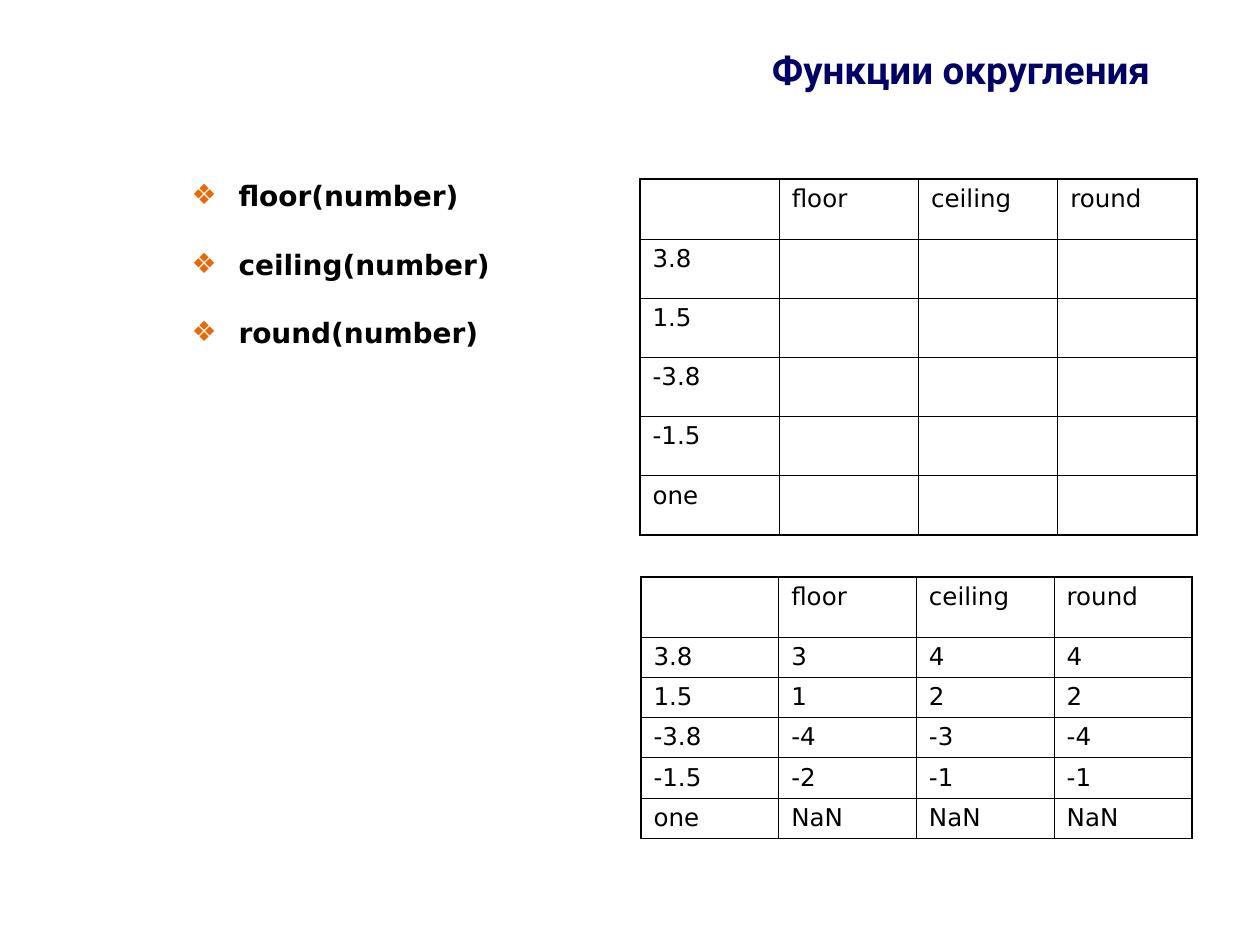
import pptx
import pptx.util
import pptx.dml.color
import pptx.enum.text
import pptx.oxml
import pptx.oxml.ns

PX = 914400 // 126
SANS = "DejaVu Sans"
ALIGN = pptx.enum.text.PP_ALIGN
ANCHOR = pptx.enum.text.MSO_ANCHOR
FIT = pptx.enum.text.MSO_AUTO_SIZE
FRAME = {"word_wrap": True, "auto_size": FIT.NONE}
HEAD = ["", "floor", "ceiling", "round"]
KEYS = ["3.8", "1.5", "-3.8", "-1.5", "one"]
DATA = [
    ["3", "4", "4"],
    ["1", "2", "2"],
    ["-4", "-3", "-4"],
    ["-2", "-1", "-1"],
    ["NaN", "NaN", "NaN"],
]


def rgb(code):
    """Turn a hex string into a colour."""
    return pptx.dml.color.RGBColor.from_string(code)


def apply(item, form):
    """Set each attribute named in a dict of format values."""
    for name, value in form.items():
        setattr(item, name, value)


def place(shape, box):
    """Move a shape to a box given in px."""
    names = ("left", "top", "width", "height")
    apply(shape, {name: size * PX for name, size in zip(names, box)})


def node(text):
    """Make a drawing element from a short piece of XML."""
    space = pptx.oxml.ns.nsdecls("a")
    return pptx.oxml.parse_xml(text.replace(" ", f" {space} ", 1))


def write(para, text, size, color, face=SANS, bold=False, **form):
    """Put one formatted run in a paragraph."""
    run = para.add_run()
    run.text = text
    apply(run.font, {"size": pptx.util.Pt(size), "name": face, "bold": bold})
    run.font.color.rgb = rgb(color)
    apply(para, form)


def title(shape, box, text):
    """Fill the title placeholder."""
    place(shape, box)
    frame = shape.text_frame
    apply(frame, FRAME | {"vertical_anchor": ANCHOR.MIDDLE})
    write(frame.paragraphs[0], text, 22, "000066", "Roboto", True,
          alignment=ALIGN.CENTER)


def bullets(shape, box, items):
    """Fill the body placeholder with a bulleted list."""
    place(shape, box)
    frame = shape.text_frame
    apply(frame, FRAME | {"vertical_anchor": ANCHOR.TOP})
    for i, text in enumerate(items):
        para = frame.add_paragraph() if i else frame.paragraphs[0]
        write(para, text, 16, "000000", bold=True, alignment=ALIGN.JUSTIFY,
              line_spacing=0.8, space_before=pptx.util.Pt(4),
              space_after=pptx.util.Pt(19.7))
        props = para._p.get_or_add_pPr()
        props.set("marL", str(47 * PX))
        props.set("indent", str(-47 * PX))
        for part in (
            '<a:buClr ><a:srgbClr val="E96807"/></a:buClr>',
            f'<a:buFont typeface="{SANS}"/>',
            '<a:buChar char="❖"/>',
        ):
            props.append(node(part))


def border(cell, outer):
    """Draw the four cell edges, thicker on the outer ones."""
    props = cell._tc.get_or_add_tcPr()
    for i, side in enumerate("LRTB"):
        width = pptx.util.Pt(1.08 if side in outer else 0.45)
        props.insert(i, node(
            f'<a:ln{side} w="{width}"><a:solidFill>'
            f'<a:srgbClr val="000000"/></a:solidFill></a:ln{side}>'))


def grid(slide, box, rows, first):
    """Add a table with a header row of a given height."""
    high, wide = len(rows), len(rows[0])
    left, top, width, height = (size * PX for size in box)
    table = slide.shapes.add_table(
        high, wide, left, top, width, height).table
    apply(table, {"first_row": False, "horz_banding": False})
    for r, row in enumerate(rows):
        rest = (height - first * PX) // (high - 1)
        table.rows[r].height = rest if r else first * PX
        for c, text in enumerate(row):
            cell = table.cell(r, c)
            cell.fill.background()
            edges = {"L": c == 0, "R": c == wide - 1,
                     "T": r == 0, "B": r == high - 1}
            border(cell, [side for side, on in edges.items() if on])
            if text:
                write(cell.text_frame.paragraphs[0], text, 14, "000000",
                      line_spacing=0.96, space_before=pptx.util.Pt(3.5))


def main():
    """Build the slide and save it."""
    deck = pptx.Presentation()
    apply(deck, {"slide_width": pptx.util.Inches(10),
                 "slide_height": pptx.util.Inches(7.5)})
    slide = deck.slides.add_slide(deck.slide_layouts[1])
    title(slide.shapes.title, (662, -10, 598, 158), "Функции округления")
    bullets(slide.placeholders[1], (179, 179, 441, 640),
            [f"{name}(number)" for name in HEAD[1:]])
    blank = [[key] + [""] * 3 for key in KEYS]
    full = [[key] + vals for key, vals in zip(KEYS, DATA)]
    grid(slide, (640, 179, 557, 356), [HEAD] + blank, 60)
    grid(slide, (641, 577, 551, 261), [HEAD] + full, 60)
    deck.save("out.pptx")


if __name__ == "__main__":
    main()
